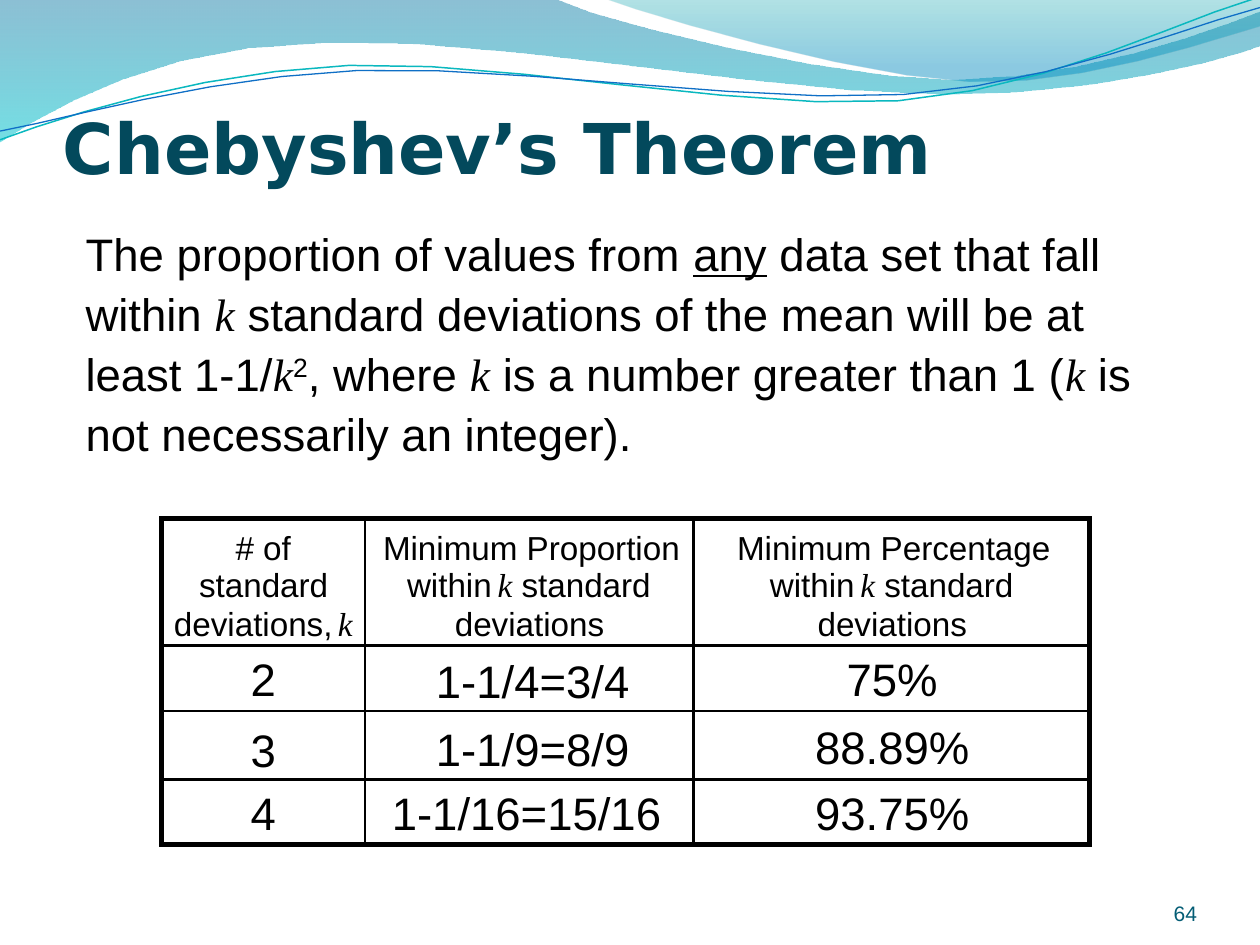
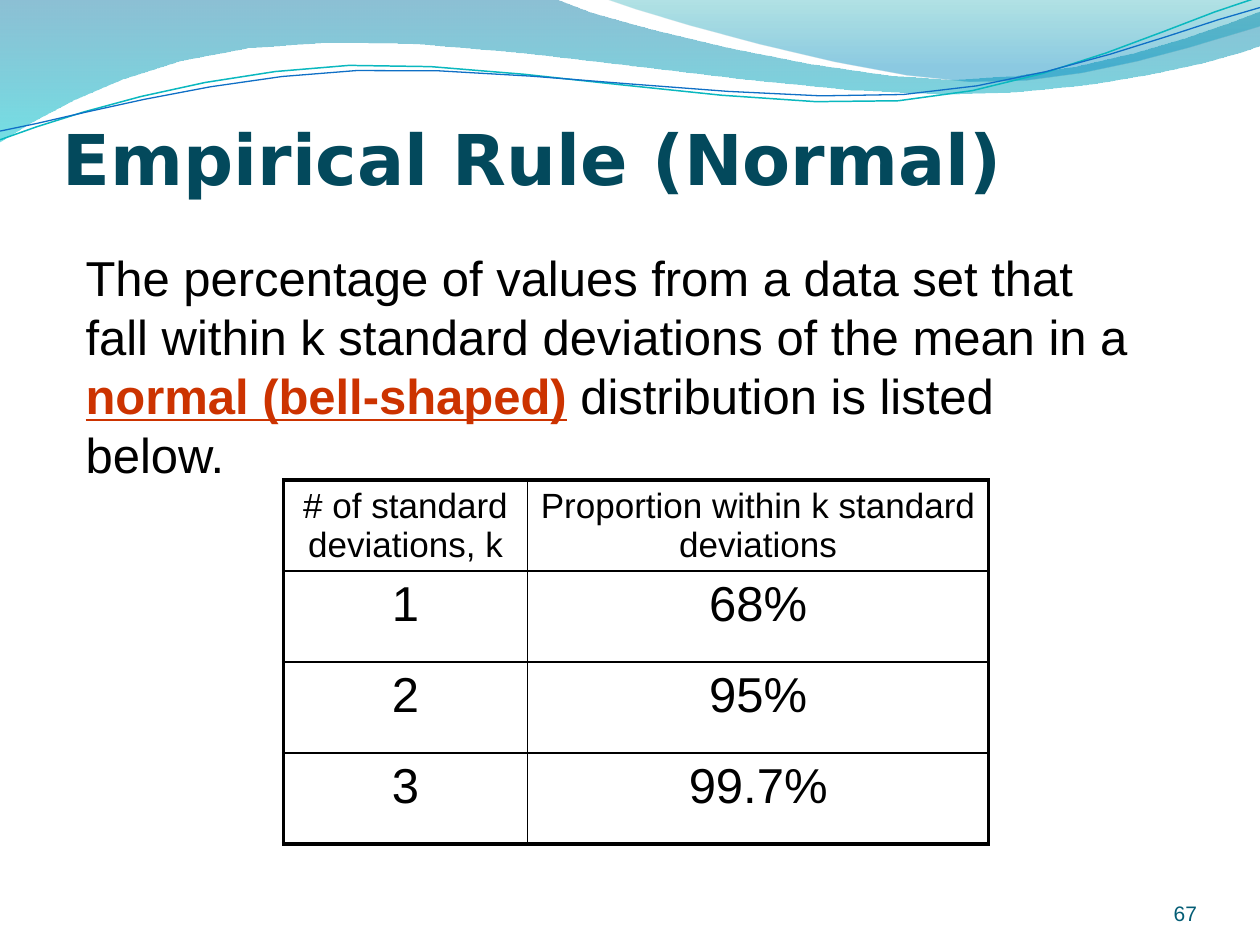
import dataclasses
import itertools

import pptx
import pptx.dml.color
import pptx.enum.shapes
import pptx.enum.text
import pptx.oxml.ns
import pptx.slide
import pptx.table
import pptx.text.text
import pptx.util
from lxml import etree

Pt = pptx.util.Pt
RGB = pptx.dml.color.RGBColor
ALIGN = pptx.enum.text.PP_ALIGN
ANCHOR = pptx.enum.text.MSO_ANCHOR

# Colours
BLACK = RGB(0x00, 0x00, 0x00)
RED = RGB(0xCC, 0x33, 0x00)
DEEP = RGB(0x03, 0x49, 0x5C)
TEAL = RGB(0x04, 0x5D, 0x75)
AQUA = RGB(0x0A, 0xB8, 0xBF)
BLUE = RGB(0x0F, 0x6F, 0xC6)
SEA = RGB(0x00, 0x74, 0xA1)
CYAN = RGB(0x00, 0xC6, 0xCF)
JADE = RGB(0x00, 0xA1, 0xA9)
SKY = RGB(0x00, 0x8B, 0xBF)

# Font, frame and box formats
PLAIN = {"name": "Arial", "color": BLACK}
TITLE = {"name": "DejaVu Sans", "color": DEEP, "size": Pt(40), "bold": True}
FOOT = {"name": "Arial", "color": TEAL, "size": Pt(12)}
MATH = {"name": "Times New Roman", "italic": True}
LINED = {"underline": True}
STRONG = {"color": RED, "bold": True}
LOW = {"vertical_anchor": ANCHOR.BOTTOM}
GROW = {"auto_size": pptx.enum.text.MSO_AUTO_SIZE.SHAPE_TO_FIT_TEXT}
LOOSE = GROW | {"word_wrap": False}
BARE = (0, 0, 0, 0)
STEPS = 6


@dataclasses.dataclass
class Run:
    text: str
    form: dict = dataclasses.field(default_factory=dict)
    base: int = 0


@dataclasses.dataclass
class Wave:
    """A start point, then lines (2 numbers) and curves (6 numbers)."""
    start: tuple
    legs: list
    stops: tuple = ()  # position, colour, percent opaque
    line: tuple = ()  # colour, width


@dataclasses.dataclass
class Block:
    box: tuple
    runs: list
    form: dict
    inset: tuple = (7.2, 3.6, 7.2, 3.6)
    frame: dict = dataclasses.field(default_factory=dict)
    para: dict = dataclasses.field(default_factory=dict)


@dataclasses.dataclass
class Label:
    text: str
    left: float
    top: float
    width: float
    height: float = 25.2
    size: int = 19


@dataclasses.dataclass
class Grid:
    left: float
    top: float
    cols: list
    rows: list
    cells: list


WAVES = [
    Wave((0, -0.7), [
        (316.8, -0.7), (342.7, 12.2, 478.1, 45.4, 545.8, 45.4),
        (614.2, 45.4, 689.8, 18.7, 720, 6.5), (720.7, 25.9),
        (707.8, 31.7, 626.4, 54.7, 537.1, 54),
        (446.4, 54, 275, 20.2, 185, 24.5),
        (92.9, 25.2, 33.1, 59.8, -0.7, 81.4)],
        stops=((0, SEA, 45), (1, CYAN, 55))),
    Wave((344.9, -0.7), [
        (366.5, 7.9, 491, 44.6, 553.7, 46.8),
        (616.3, 49.7, 691.9, 23, 720, 15.1), (720, 0)],
        stops=((0, JADE, 30), (0.8, SKY, 45))),
    Wave((0, 79.9), [
        (34.6, 67, 113.8, 41, 199.4, 37.4),
        (284.4, 33.8, 427, 64.1, 513.4, 57.6),
        (599.8, 51.1, 675.4, 10.8, 718.6, -1.4)], line=(AQUA, 0.85)),
    Wave((0, 74.9), [
        (33.8, 69.1, 118.1, 43.9, 203.8, 40.3),
        (290.2, 36.7, 429.8, 59.8, 516.2, 54),
        (601.9, 48.2, 677.5, 15.1, 720, 4.3)], line=(BLUE, 0.75)),
]


def style(thing: object, form: dict) -> None:
    for key, value in form.items():
        if key == "color":
            thing.color.rgb = value
        else:
            setattr(thing, key, value)


def write(para: pptx.text.text._Paragraph, runs: list, form: dict) -> None:
    for part in runs:
        run = para.add_run()
        run.text = part.text
        style(run.font, form | part.form)
        if part.base:
            run.font._element.set("baseline", str(part.base * 1000))


def trace(wave: Wave) -> list:
    """Turn the legs of a wave into points."""
    points, here = [], wave.start
    for leg in wave.legs:
        if len(leg) == 2:
            points.append(leg)
        else:
            knots = [here, leg[:2], leg[2:4], leg[4:]]
            for step in range(1, STEPS + 1):
                t = step / STEPS
                parts = ((1 - t) ** 3, 3 * t * (1 - t) ** 2,
                         3 * t * t * (1 - t), t ** 3)
                points.append(tuple(
                    sum(p * knot[axis] for p, knot in zip(parts, knots))
                    for axis in (0, 1)))
        here = leg[-2:]
    return points


def draw_wave(slide: pptx.slide.Slide, wave: Wave) -> None:
    pen = slide.shapes.build_freeform(*map(Pt, wave.start))
    pen.add_line_segments([(Pt(x), Pt(y)) for x, y in trace(wave)],
                          close=bool(wave.stops))
    shape = pen.convert_to_shape()
    shape.shadow.inherit = False
    if wave.line:
        shape.fill.background()
        shape.line.color.rgb = wave.line[0]
        shape.line.width = Pt(wave.line[1])
        return
    shape.line.fill.background()
    shape.fill.gradient()
    shape.fill.gradient_angle = 270
    for stop, (place, color, dense) in zip(shape.fill.gradient_stops, wave.stops):
        stop.position = place
        stop.color.rgb = color
        node = stop._gs.find(pptx.oxml.ns.qn("a:srgbClr"))
        etree.SubElement(node, pptx.oxml.ns.qn("a:alpha"), val=str(dense * 1000))


def draw_block(slide: pptx.slide.Slide, block: Block) -> None:
    frame = slide.shapes.add_textbox(*map(Pt, block.box)).text_frame
    sides = ("margin_left", "margin_top", "margin_right", "margin_bottom")
    style(frame, dict(zip(sides, map(Pt, block.inset))))
    style(frame, {"word_wrap": True} | block.frame)
    para = frame.paragraphs[0]
    style(para, block.para)
    write(para, block.runs, block.form)


def draw_label(slide: pptx.slide.Slide, label: Label) -> None:
    form = PLAIN | {"size": Pt(label.size)} | (MATH if label.text == "k" else {})
    box = (label.left, label.top, label.width, label.height)
    draw_block(slide, Block(box, [Run(label.text)], form, BARE, LOOSE))


def draw_rule(slide: pptx.slide.Slide, box: tuple) -> None:
    kind = pptx.enum.shapes.MSO_SHAPE.RECTANGLE
    rule = slide.shapes.add_shape(kind, *map(Pt, box))
    rule.shadow.inherit = False
    rule.fill.solid()
    rule.fill.fore_color.rgb = BLACK
    style(rule.line, {"color": BLACK, "width": Pt(0)})


def edge(cell: pptx.table._Cell, side: str, width: float) -> None:
    line = etree.SubElement(cell._tc.get_or_add_tcPr(),
                            pptx.oxml.ns.qn(f"a:ln{side}"), w=str(Pt(width)))
    fill = etree.SubElement(line, pptx.oxml.ns.qn("a:solidFill"))
    etree.SubElement(fill, pptx.oxml.ns.qn("a:srgbClr"), val=str(BLACK))


def draw_grid(slide: pptx.slide.Slide, grid: Grid) -> None:
    high, wide = len(grid.rows), len(grid.cols)
    table = slide.shapes.add_table(
        high, wide, Pt(grid.left), Pt(grid.top),
        Pt(sum(grid.cols)), Pt(sum(grid.rows))).table
    style(table, {"first_row": False, "horz_banding": False})
    for col, width in zip(table.columns, grid.cols):
        col.width = Pt(width)
    for row, height in zip(table.rows, grid.rows):
        row.height = Pt(height)
    for r, c in itertools.product(range(high), range(wide)):
        cell = table.cell(r, c)
        cell.margin_bottom = Pt(0)
        # Thick outside, thin inside
        outer = {"L": c == 0, "R": c == wide - 1, "T": r == 0, "B": r == high - 1}
        for key, thick in outer.items():
            edge(cell, key, 2.25 if thick else 1)
        cell.fill.background()
        para = cell.text_frame.paragraphs[0]
        para.alignment = ALIGN.CENTER
        write(para, [Run(grid.cells[r][c])],
              PLAIN | {"size": Pt(28 if r else 20)})


def start_slide(deck: pptx.presentation.Presentation, title: str, top: float,
                body: Block) -> pptx.slide.Slide:
    slide = deck.slides.add_slide(deck.slide_layouts[6])
    for wave in WAVES:
        draw_wave(slide, wave)
    draw_block(slide, body)
    draw_block(slide, Block((36, top, 648, 77.8), [Run(title)], TITLE,
                            (0, 3.6, 0, 0), LOW))
    return slide


def draw_foot(slide: pptx.slide.Slide, number: int) -> None:
    draw_block(slide, Block((624.2, 500.4, 59.8, 28.8), [Run(str(number))], FOOT,
                            BARE, LOW, {"alignment": ALIGN.RIGHT}))


def draw_bounds(slide: pptx.slide.Slide) -> None:
    """Draw the ruled frame, then its headings and values."""
    left, top, wide, high = 91.4, 295.2, 532.1, 188.6
    thin, thick = 0.72, 2.2
    uprights = [(208.1, thin), (396, thin)]
    levels = [(368.6, thin), (406.1, thin), (445, thin)]
    sides = [(left, thick), (621.4, thick)]
    ends = [(top, thick), (481.7, thick)]
    for tall, flat in ((uprights, levels), (sides, ends)):
        for x, size in tall:
            draw_rule(slide, (x, top, size, high))
        for y, size in flat:
            draw_rule(slide, (left, y, wide, size))

    # Headings, set word by word on three lines
    one, two, three = 301, 322.6, 344.9
    labels = [Label("# of", 134.6, one, 43.9), Label("standard", 113.8, two, 86.4),
              Label("deviations,", 99.4, three, 102.2),
              Label("k", 193, three, 15.8, 25.9)]
    heads = [("Minimum Proportion", 218.9, 180), ("Minimum Percentage", 421.2, 189.4)]
    for spot, (text, x, width) in enumerate(heads):
        shift = spot * 207.3
        labels += [Label(text, x, one, width),
                   Label("within", 232.6 + shift, two, 60.5),
                   Label("k", 284.4 + shift, two, 15.8, 25.9),
                   Label("standard", 298.1 + shift, two, 86.4),
                   Label("deviations", 259.9 + shift, three, 92.2)]

    # Values: each column's text, left, top and width
    tall, low = 34.6, 31.7
    values = [
        ("2", 143.3, 372.2, 25.9, tall), ("1-1/4=3/4", 249.1, 373, 111.6, low),
        ("75%", 483.8, 372.2, 64.1, tall),
        ("3", 143.3, 412.6, 25.9, tall), ("1-1/9=8/9", 249.1, 411.8, 111.6, low),
        ("88.89%", 465.8, 411.1, 100.8, tall),
        ("4", 143.3, 448.6, 25.9, tall), ("1-1/16=15/16", 223.9, 448.6, 155.5, low),
        ("93.75%", 465.8, 448.6, 100.8, tall)]
    labels += [Label(*value, size=26) for value in values]
    for label in labels:
        draw_label(slide, label)


def main() -> None:
    deck = pptx.Presentation()
    style(deck, {"slide_width": Pt(720), "slide_height": Pt(540)})
    k = Run("k", MATH)

    # Chebyshev
    body = Block((41.8, 122.4, 612, 146.2), [
        Run("The proportion of values from "), Run("any", LINED),
        Run(" data set that fall within "), k,
        Run(" standard deviations of the mean will be at least 1-1/"), k,
        Run("2", base=30), Run(", where "), k,
        Run(" is a number greater than 1 ("), k,
        Run(" is not necessarily an integer).")],
        PLAIN | {"size": Pt(26)}, frame=GROW, para={"line_spacing": 1.1})
    slide = start_slide(deck, "Chebyshev’s Theorem", 30, body)
    draw_foot(slide, 64)
    draw_bounds(slide)

    # Empirical rule
    body = Block((41.8, 138.2, 611.3, 141.8), [
        Run("The percentage of values from a data set that fall within k "
            "standard deviations of the mean in a "),
        Run("normal (bell-shaped)", STRONG | LINED), Run(" ", STRONG),
        Run("distribution is listed below.")], PLAIN | {"size": Pt(28)}, frame=GROW)
    slide = start_slide(deck, "Empirical Rule (Normal)", 36, body)
    draw_grid(slide, Grid(162, 274.3, [139.5, 263.5], [52] * 4, [
        ["# of standard deviations, k", "Proportion within k standard deviations"],
        ["1", "68%"], ["2", "95%"], ["3", "99.7%"]]))
    draw_foot(slide, 67)
    deck.save("out.pptx")


if __name__ == "__main__":
    main()
